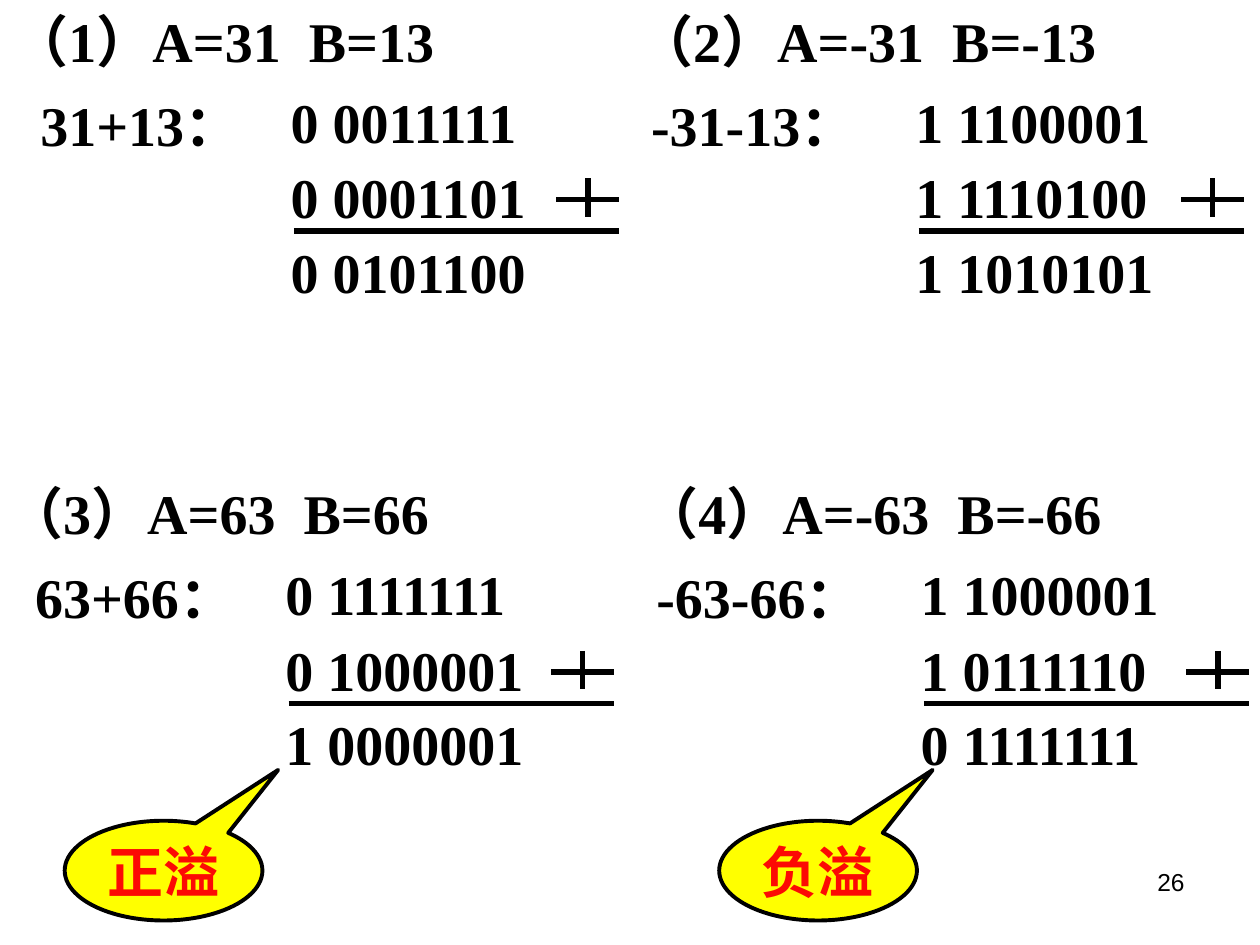
import pptx
import pptx.util
import pptx.dml.color
import pptx.enum.shapes
import pptx.enum.text
import pptx.oxml.ns
import lxml.etree

Pt = pptx.util.Pt
Align = pptx.enum.text.PP_ALIGN
Anchor = pptx.enum.text.MSO_ANCHOR
BLACK = pptx.dml.color.RGBColor(0x00, 0x00, 0x00)
RED = pptx.dml.color.RGBColor(0xFC, 0x0A, 0x04)
YELLOW = pptx.dml.color.RGBColor(0xFF, 0xFF, 0x00)


def write(frame, lines, font="Times New Roman", size=32, bold=True, color=BLACK,
          align=Align.LEFT, anchor=Anchor.TOP, gap=20):
    """Fill a frame with lines, each given as text, line spacing and indent."""
    frame.word_wrap = True
    frame.vertical_anchor = anchor
    for index, (text, pitch, indent) in enumerate(lines):
        para = frame.paragraphs[0] if index == 0 else frame.add_paragraph()
        para.alignment = align
        para.line_spacing = pitch
        if index:
            para.space_before = Pt(gap)
        if indent:
            para._p.get_or_add_pPr().set("marL", str(Pt(indent)))
        run = para.add_run()
        run.text = text
        run.font.name = font
        run.font.size = Pt(size)
        run.font.bold = bold
        run.font.color.rgb = color


def label(slide, box, lines, **style):
    """Add a text box at the given box."""
    shape = slide.shapes.add_textbox(*map(Pt, box))
    write(shape.text_frame, lines, **style)


def stroke(slide, left, top, right, bottom):
    """Draw a thick black line between two points."""
    line = slide.shapes.add_connector(
        pptx.enum.shapes.MSO_CONNECTOR.STRAIGHT, *map(Pt, (left, top, right, bottom)))
    line.line.color.rgb = BLACK
    line.line.width = Pt(3)
    lxml.etree.SubElement(line._element.spPr, pptx.oxml.ns.qn("a:effectLst"))


def problem(slide, left, top, title, task, indent, terms, total):
    """Lay out one worked addition from its top left corner."""
    label(slide, (left + 159, top + 60, 194, 73), [(term, 0.6, 0) for term in terms])
    label(slide, (left, top, 363, 93), [(title, 1, 0), (task, 0.7, indent)])
    label(slide, (left + 159, top + 132, 204, 46), [(total, 1, 0)])
    for x1, y1, x2, y2 in ((318, 114, 354, 114), (336, 102, 336, 124), (168, 132, 354, 132)):
        stroke(slide, left + x1, top + y1, left + x2, top + y2)


def callout(slide, box, text):
    """Add a yellow speech bubble that points up to a result."""
    shape = slide.shapes.add_shape(
        pptx.enum.shapes.MSO_SHAPE.OVAL_CALLOUT, *map(Pt, box))
    shape.adjustments[0] = 0.58
    shape.adjustments[1] = -1.01
    shape.shadow.inherit = False
    shape.fill.solid()
    shape.fill.fore_color.rgb = YELLOW
    shape.line.color.rgb = BLACK
    shape.line.width = Pt(2.25)
    write(shape.text_frame, [(text, 1, 0)], color=RED, align=Align.CENTER,
          anchor=Anchor.MIDDLE)


def main():
    """Build and save the slide."""
    deck = pptx.Presentation()
    deck.slide_width, deck.slide_height = Pt(720), Pt(540)
    slide = deck.slides.add_slide(deck.slide_layouts[6])
    label(slide, (516, 492, 168, 37), [("26", 1, 0)], font="Arial", size=14,
          bold=False, align=Align.RIGHT)
    problem(slide, 0, 0, "（1）A=31  B=13", "31+13：", 16,
            ("0 0011111", "0 0001101"), "0 0101100")
    problem(slide, 357, 0, "（2）A=-31  B=-13", "-31-13：", 8,
            ("1 1100001", "1 1110100"), "1 1010101")
    problem(slide, -3, 270, "（3）A=63  B=66", "63+66：", 16,
            ("0 1111111", "0 1000001"), "1 0000001")
    problem(slide, 360, 270, "（4）A=-63  B=-66", "-63-66：", 8,
            ("1 1000001", "1 0111110"), "0 1111111")
    for left, text in ((37, "正溢"), (411, "负溢")):
        callout(slide, (left, 469, 113, 57), text)
    deck.save("out.pptx")


if __name__ == "__main__":
    main()
